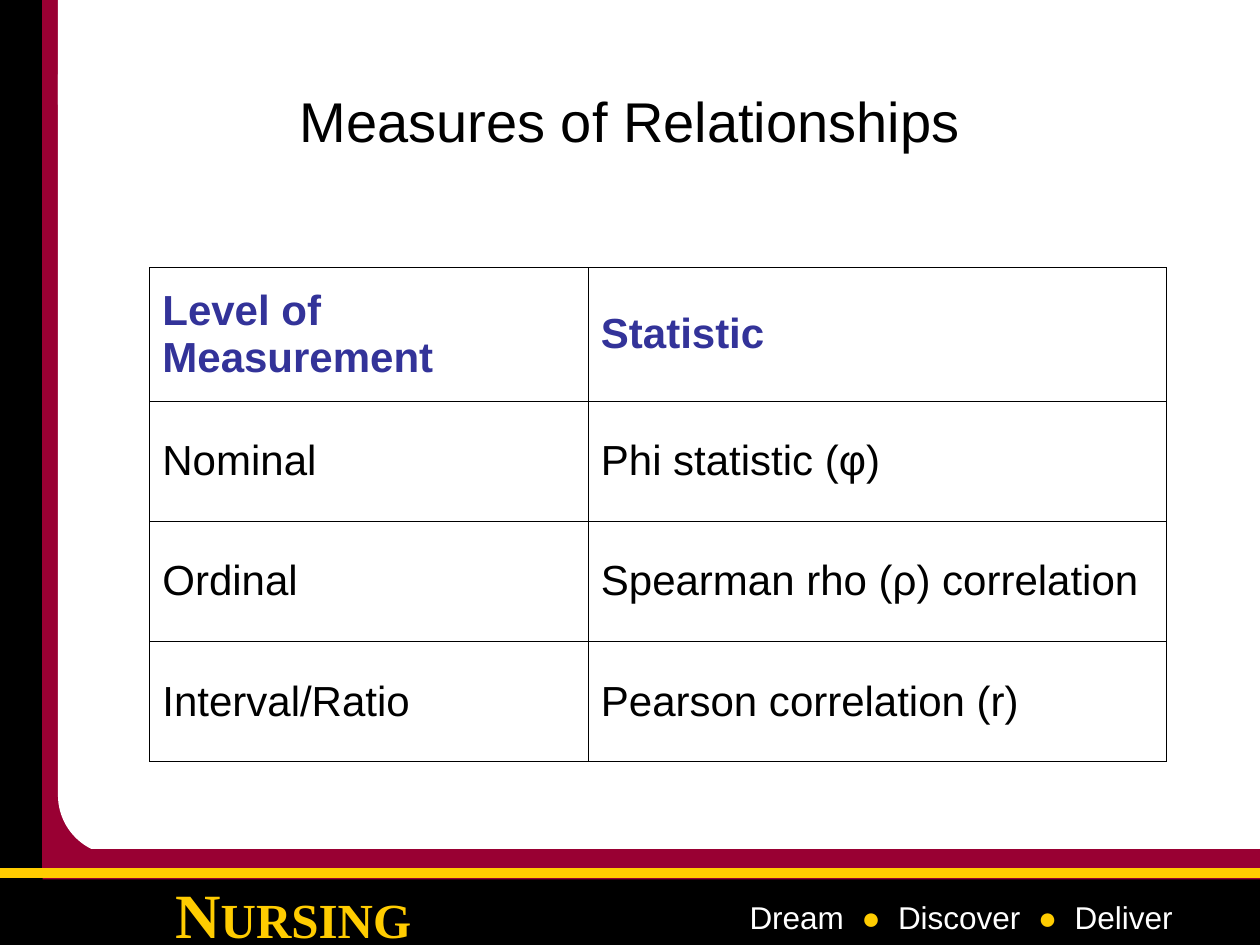
from lxml import etree
from pptx import Presentation
from pptx import util as u
from pptx.dml.color import RGBColor
from pptx.enum import shapes, text
from pptx.oxml import ns

BLACK = RGBColor(0x00, 0x00, 0x00)
WHITE = RGBColor(0xFF, 0xFF, 0xFF)
MAROON = RGBColor(0x99, 0x00, 0x33)
GOLD = RGBColor(0xFF, 0xCC, 0x00)
NAVY = RGBColor(0x33, 0x33, 0x99)
WIDE, HIGH = 25.4, 19.05
RECT = shapes.MSO_SHAPE.RECTANGLE
ROUND = shapes.MSO_SHAPE.ROUNDED_RECTANGLE


def cms(*nums):
    return [u.Cm(n) for n in nums]


class Deck:
    """Holds the style and the current slide."""
    font = "Arial"

    def __init__(self):
        self.prs = Presentation()
        self.prs.slide_width, self.prs.slide_height = cms(WIDE, HIGH)
        self.slide = self.prs.slides.add_slide(self.prs.slide_layouts[5])
        self.items = self.slide.shapes

    def run(self, par, words, size, color, bold=False, font=None):
        run = par.add_run()
        run.text = words
        run.font.size = u.Pt(size)
        run.font.name = font or self.font
        run.font.bold = bold
        run.font.color.rgb = color

    def block(self, box, fill, kind=RECT, edge=False):
        shape = self.items.add_shape(kind, *cms(*box))
        shape.shadow.inherit = False
        shape.fill.solid()
        shape.fill.fore_color.rgb = fill
        if edge:
            shape.line.color.rgb = fill
            shape.line.width = u.Pt(0.75)
        else:
            shape.line.fill.background()
        return shape

    def line(self, start, end, color, width):
        line = self.items.add_connector(
            shapes.MSO_CONNECTOR.STRAIGHT, *cms(*start, *end))
        line.line.color.rgb = color
        line.line.width = u.Pt(width)
        props = line._element.spPr
        etree.SubElement(props, ns.qn("a:effectLst"))

    def label(self, box):
        """Add a text box and return its first paragraph."""
        frame = self.items.add_textbox(*cms(*box)).text_frame
        frame.word_wrap = True
        return frame.paragraphs[0]

    def title(self, box, words):
        title = self.items.title
        title.left, title.top, title.width, title.height = cms(*box)
        title.text_frame.vertical_anchor = text.MSO_ANCHOR.MIDDLE
        par = title.text_frame.paragraphs[0]
        par.alignment = text.PP_ALIGN.CENTER
        self.run(par, words, 32, BLACK)
        # Bring the title in front of the background blocks
        self.items._spTree.append(title._element)

    def frame(self, cell):
        """Draw a thin black border on each side of a cell."""
        props = cell._tc.get_or_add_tcPr()
        for i, side in enumerate(("lnL", "lnR", "lnT", "lnB")):
            edge = etree.Element(ns.qn("a:" + side), w=str(u.Pt(0.45)))
            fill = etree.SubElement(edge, ns.qn("a:solidFill"))
            etree.SubElement(fill, ns.qn("a:srgbClr"), val=str(BLACK))
            props.insert(i, edge)

    def table(self, box, cols, tall, rows):
        table = self.items.add_table(
            len(rows), len(cols), *cms(*box)).table
        table.first_row = table.horz_banding = False
        for col, width in zip(table.columns, cols):
            col.width = u.Cm(width)
        for r, (row, height) in enumerate(zip(rows, tall)):
            table.rows[r].height = u.Cm(height)
            head = r == 0
            for c, words in enumerate(row):
                cell = table.cell(r, c)
                cell.fill.background()
                cell.vertical_anchor = text.MSO_ANCHOR.MIDDLE
                self.frame(cell)
                par = cell.text_frame.paragraphs[0]
                par.space_before = u.Pt(6)
                self.run(par, words, 24, NAVY if head else BLACK, head)


def main():
    deck = Deck()

    # Side and bottom bands
    deck.block((0.81, 0, 1.09, HIGH), MAROON)
    deck.block((2.64, 1.9, 22.76, 17.15), WHITE)
    deck.block((0, 0, 0.84, HIGH), BLACK, edge=True)
    deck.block((0, 17.68, WIDE, 1.37), BLACK, edge=True)
    curve = deck.block((1.17, 0.3, 7.11, 16.94), WHITE, ROUND)
    curve.adjustments[0] = 0.17
    deck.block((1.17, 0, 1.63, 2.11), WHITE)

    unit = deck.label((2.95, 17.53, 5.92, 1.6))
    unit.alignment = text.PP_ALIGN.CENTER
    for words, size in (("N", 36), ("URSING", 28)):
        deck.run(unit, words, size, GOLD, True, "Times New Roman")

    deck.block((0.86, 17.12, 24.54, 0.61), MAROON)
    deck.line((0, 17.6), (WIDE, 17.6), GOLD, 6)

    motto = deck.label((14.86, 17.98, 10.13, 1.02))
    motto.space_before = u.Pt(11.2)
    for words, color in (("Dream  ", WHITE), ("●  ", GOLD),
                         ("Discover  ", WHITE), ("●", GOLD),
                         ("  Deliver", WHITE)):
        deck.run(motto, words, 18, color)

    deck.title((1.9, 0.84, 21.6, 3.18), "Measures of Relationships")
    deck.table((3.02, 5.39, 20.5, 9.95), (8.84, 11.66),
               (2.7, 2.42, 2.42, 2.42), (
        ("Level of Measurement", "Statistic"),
        ("Nominal", "Phi statistic (φ)"),
        ("Ordinal", "Spearman rho (ρ) correlation"),
        ("Interval/Ratio", "Pearson correlation (r)"),
    ))
    deck.prs.save("out.pptx")


if __name__ == "__main__":
    main()
